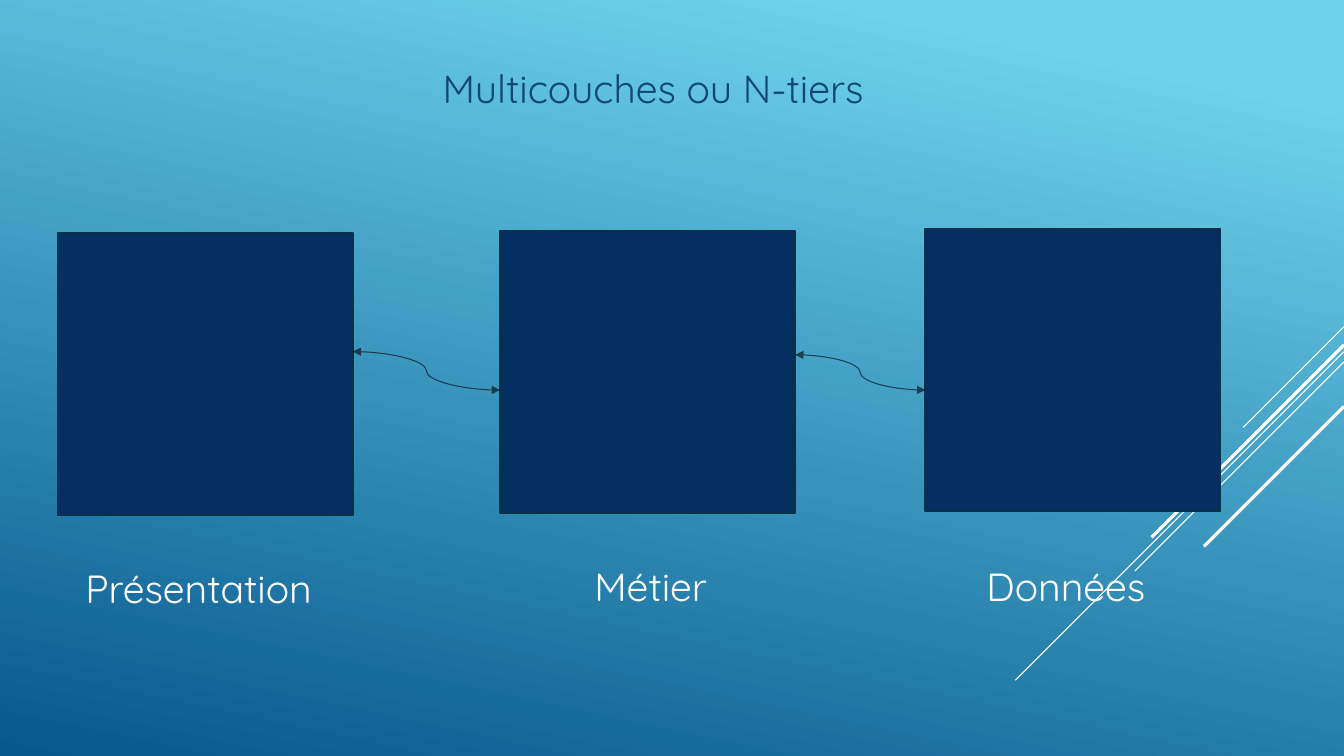
from dataclasses import dataclass
from itertools import pairwise

from lxml.etree import SubElement as Sub
from pptx import Presentation
from pptx.dml.color import RGBColor as Rgb
from pptx.enum.shapes import MSO_CONNECTOR as Link, MSO_SHAPE as Form
from pptx.enum.text import MSO_ANCHOR as Anchor, MSO_AUTO_SIZE as Fit, PP_ALIGN as Align
from pptx.oxml.ns import qn
from pptx.util import Cm, Pt


@dataclass(frozen=True)
class Theme:
    font: str = "Quicksand"
    size: float = 28
    sky: str = "6ED2EB"
    sea: str = "06588E"
    title: str = "0F496F"
    white: str = "FFFFFF"
    navy: str = "052F61"
    edge: str = "043148"
    black: str = "000000"


THEME = Theme()
WIDTH, HEIGHT = 33.87, 19.05
SIDE, TALL = 7.44, 7.11
ROW = 1.37

TIERS = [
    ("Présentation", 1.45, 5.87, 1.9, 14.12, 8.86),
    ("Métier", 12.6, 5.82, 14.73, 14.07, 5.28),
    ("Données", 23.32, 5.77, 24.61, 14.07, 5.28),
]
STARTS = [8.86, 8.94]
END = 9.83
RAYS = [
    (8.23, 2.54, 0.75),
    (8.86, 8.28, 0.75),
    (9.12, 5.27, 0.75),
    (8.69, 4.85, 2.25),
    (10.24, 3.53, 2.25),
]


def paint(slide):
    fill = slide.background.fill
    fill.gradient()
    fill.gradient_angle = 258
    tones = [(0.1, THEME.sky), (1, THEME.sea)]
    for stop, (place, tone) in zip(fill.gradient_stops, tones):
        stop.position = place
        stop.color.rgb = Rgb.from_string(tone)


def write(shape, text, color):
    frame = shape.text_frame
    frame.text = text
    frame.word_wrap = True
    frame.auto_size = Fit.NONE
    frame.vertical_anchor = Anchor.MIDDLE
    para = frame.paragraphs[0]
    para.alignment = Align.LEFT
    para.space_before = Pt(THEME.size * 0.2)
    para.space_after = Pt(6)
    para.font.name = THEME.font
    para.font.size = Pt(THEME.size)
    para.font.color.rgb = Rgb.from_string(color)


def head(slide, text):
    title = slide.shapes.title
    title.left, title.top = Cm(10.9), Cm(1.52)
    title.width, title.height = Cm(11.91), Cm(ROW)
    write(title, text, THEME.title)


def label(slide, text, left, top, width):
    box = slide.shapes.add_textbox(Cm(left), Cm(top), Cm(width), Cm(ROW))
    write(box, text, THEME.white)


def block(slide, left, top):
    box = slide.shapes.add_shape(
        Form.RECTANGLE, Cm(left), Cm(top), Cm(SIDE), Cm(TALL)
    )
    box.shadow.inherit = False
    box.fill.solid()
    box.fill.fore_color.rgb = Rgb.from_string(THEME.navy)
    box.line.color.rgb = Rgb.from_string(THEME.edge)
    box.line.width = Pt(1.25)


def join(slide, kind, start, end, color, width):
    line = slide.shapes.add_connector(kind, *map(Cm, start + end))
    line.line.color.rgb = Rgb.from_string(color)
    line.line.width = Pt(width)
    Sub(line._element.spPr, qn("a:effectLst"))
    return line


def arrow(slide, start, end):
    line = join(slide, Link.CURVE, start, end, THEME.black, 0.75)
    ln = line.line._get_or_add_ln()
    tone = ln.find(".//" + qn("a:srgbClr"))
    Sub(tone, qn("a:alpha"), val="60000")
    for tip in ("a:headEnd", "a:tailEnd"):
        Sub(ln, qn(tip), type="triangle")


def main():
    deck = Presentation()
    deck.slide_width, deck.slide_height = Cm(WIDTH), Cm(HEIGHT)
    slide = deck.slides.add_slide(deck.slide_layouts[5])
    paint(slide)
    for top, run, width in RAYS:
        start, end = (WIDTH, top), (WIDTH - run, top + run)
        join(slide, Link.STRAIGHT, start, end, THEME.white, width)
    head(slide, "Multicouches ou N-tiers")
    for text, left, top, *area in TIERS:
        block(slide, left, top)
        label(slide, text, *area)
    for (here, there), top in zip(pairwise(TIERS), STARTS):
        arrow(slide, (here[1] + SIDE, top), (there[1], END))
    deck.save("out.pptx")


if __name__ == "__main__":
    main()
